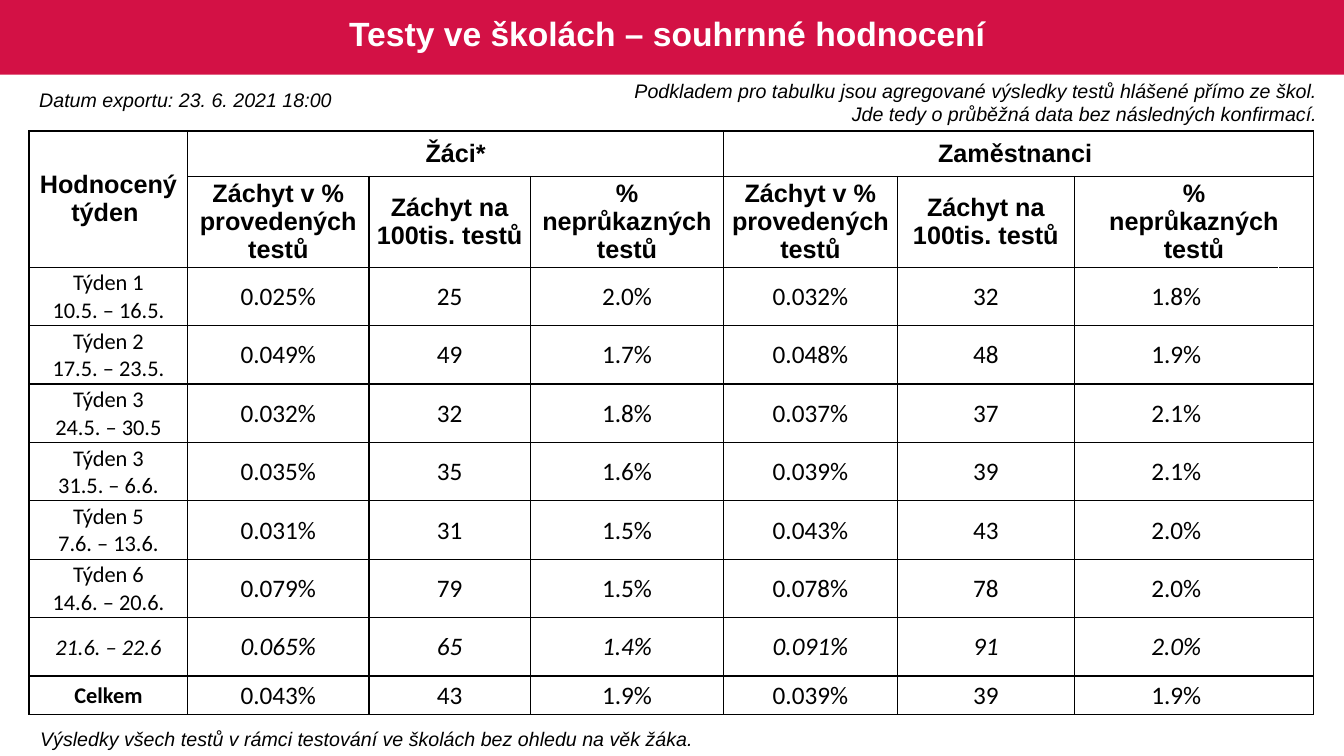
from lxml.etree import SubElement
from pptx import Presentation
from pptx.dml.color import RGBColor
from pptx.enum.shapes import MSO_SHAPE as Shape
from pptx.enum.text import MSO_ANCHOR as Anchor, PP_ALIGN as Align
from pptx.oxml.ns import qn
from pptx.util import Inches, Pt

WEEKS = [
    ("Týden 1\n10.5. – 16.5.", "0.025%", "25", "2.0%", "0.032%", "32", "1.8%"),
    ("Týden 2\n17.5. – 23.5.", "0.049%", "49", "1.7%", "0.048%", "48", "1.9%"),
    ("Týden 3\n24.5. – 30.5", "0.032%", "32", "1.8%", "0.037%", "37", "2.1%"),
    ("Týden 3\n31.5. – 6.6.", "0.035%", "35", "1.6%", "0.039%", "39", "2.1%"),
    ("Týden 5\n7.6. – 13.6.", "0.031%", "31", "1.5%", "0.043%", "43", "2.0%"),
    ("Týden 6\n14.6. – 20.6.", "0.079%", "79", "1.5%", "0.078%", "78", "2.0%"),
    ("21.6. – 22.6", "0.065%", "65", "1.4%", "0.091%", "91", "2.0%"),
    ("Celkem", "0.043%", "43", "1.9%", "0.039%", "39", "1.9%"),
]
MEASURES = ["Záchyt v % provedených testů", "Záchyt na 100tis. testů"]
HEADINGS = [
    ["Hodnocený týden ", "Žáci*", "", "", "Zaměstnanci ", "", "", ""],
    ["", *MEASURES, "% neprůkazných testů", *MEASURES, "%\nneprůkazných testů", ""],
]
# Each merge: first row, first column, last row, last column
MERGES = [(0, 0, 1, 0), (0, 1, 0, 3), (0, 4, 0, 7), (1, 6, 1, 7)]
COLUMN_SHARES = [11.78, 13.5, 12, 14.4, 12.9, 13.2, 15.15, 2.63]
ROW_SHARES = [6, 11.33] + [7.73] * 7 + [5.07]


def color(code):
    return RGBColor.from_string(code)


class SlideBuilder:
    """Draws on one slide; lengths are percentages of its width and height."""

    black, white, crimson = "000000", "FFFFFF", "D31145"
    note = dict(name="Arial", size=Pt(14), italic=True, bold=False)
    title = dict(name="Arial", size=Pt(24), bold=True)
    heading = dict(name="Arial", size=Pt(18), bold=True, italic=False)
    value = dict(name="Calibri", size=Pt(18), bold=False, italic=False)

    def __init__(self, deck):
        self.deck = deck
        self.page = deck.slides.add_slide(deck.slide_layouts[6])

    def across(self, share):
        return int(self.deck.slide_width * share / 100)

    def down(self, share):
        return int(self.deck.slide_height * share / 100)

    def area(self, left, top, width, height):
        return self.across(left), self.down(top), self.across(width), self.down(height)

    def fill_text(self, frame, text, style, align, ink=black):
        frame.text = text
        for para in frame.paragraphs:
            para.alignment = align
            for span in para.runs:
                for name, setting in style.items():
                    setattr(span.font, name, setting)
                span.font.color.rgb = color(ink)

    def band(self, *place):
        box = self.page.shapes.add_shape(Shape.RECTANGLE, *self.area(*place))
        box.shadow.inherit = False
        box.fill.solid()
        box.fill.fore_color.rgb = color(self.crimson)
        box.line.fill.background()

    def text(self, place, text, style, align=Align.LEFT, ink=black,
             anchor=Anchor.TOP, wrap=True, spacing=1.0):
        frame = self.page.shapes.add_textbox(*self.area(*place)).text_frame
        frame.word_wrap = wrap
        frame.vertical_anchor = anchor
        self.fill_text(frame, text, style, align, ink)
        for para in frame.paragraphs:
            para.line_spacing = spacing

    def border(self, cell, row, column):
        """Outline a cell, heavier on the table's left and top edges."""
        widths = dict(L=1 if column else 1.5, R=1, T=1 if row else 1.5, B=1)
        if row > 1 and column == 6:
            del widths["R"]
        if row > 1 and column == 7:
            del widths["L"]
        properties = cell._tc.get_or_add_tcPr()
        for position, (side, width) in enumerate(widths.items()):
            line = SubElement(properties, qn(f"a:ln{side}"), w=str(int(Pt(width))))
            SubElement(SubElement(line, qn("a:solidFill")), qn("a:srgbClr"), val=self.black)
            properties.insert(position, line)

    def cell_style(self, row, column):
        if row < 2:
            return self.heading
        style = dict(self.value, italic=row == 8)
        if column == 0:
            style.update(size=Pt(16), bold=row == 9)
        return style

    def table(self, left, top, rows):
        place = self.area(left, top, sum(COLUMN_SHARES), sum(ROW_SHARES))
        grid = self.page.shapes.add_table(len(rows), len(COLUMN_SHARES), *place).table
        for column, share in zip(grid.columns, COLUMN_SHARES):
            column.width = self.across(share)
        for line, share in zip(grid.rows, ROW_SHARES):
            line.height = self.down(share)
        for row, texts in enumerate(rows):
            inset = Inches(0.05 if row < 2 else 0.01)
            layout = dict(vertical_anchor=Anchor.MIDDLE, margin_left=inset, margin_right=inset,
                          margin_top=Inches(0 if row < 2 else 0.01), margin_bottom=0)
            for column, text in enumerate(texts):
                cell = grid.cell(row, column)
                for name, setting in layout.items():
                    setattr(cell, name, setting)
                cell.fill.background()
                self.border(cell, row, column)
                if text:
                    self.fill_text(cell.text_frame, text, self.cell_style(row, column),
                                   Align.CENTER)
        for first_row, first_column, last_row, last_column in MERGES:
            grid.cell(first_row, first_column).merge(grid.cell(last_row, last_column))


def main():
    deck = Presentation()
    deck.slide_width, deck.slide_height = Inches(13.33), Inches(7.5)
    page = SlideBuilder(deck)
    page.band(0, 0, 100, 9.87)
    page.text((1.35, 0.53, 97.3, 8.4), "Testy ve školách – souhrnné hodnocení ", page.title,
              Align.CENTER, page.white, Anchor.MIDDLE, spacing=0.9)
    page.text((2.18, 10.93, 23.4, 4.53), "Datum exportu: 23. 6. 2021 18:00", page.note, wrap=False)
    page.text((2.25, 95.47, 95.05, 4.53),
              "Výsledky všech testů v rámci testování ve školách bez ohledu na věk žáka.", page.note)
    page.text((42.76, 9.73, 56.41, 7.6),
              "Podkladem pro tabulku jsou agregované výsledky testů hlášené přímo ze škol. \n"
              "Jde tedy o průběžná data bez následných konfirmací. ", page.note, Align.RIGHT)
    page.table(2.18, 17.33, HEADINGS + [[*week, ""] for week in WEEKS])
    deck.save("out.pptx")


if __name__ == "__main__":
    main()
